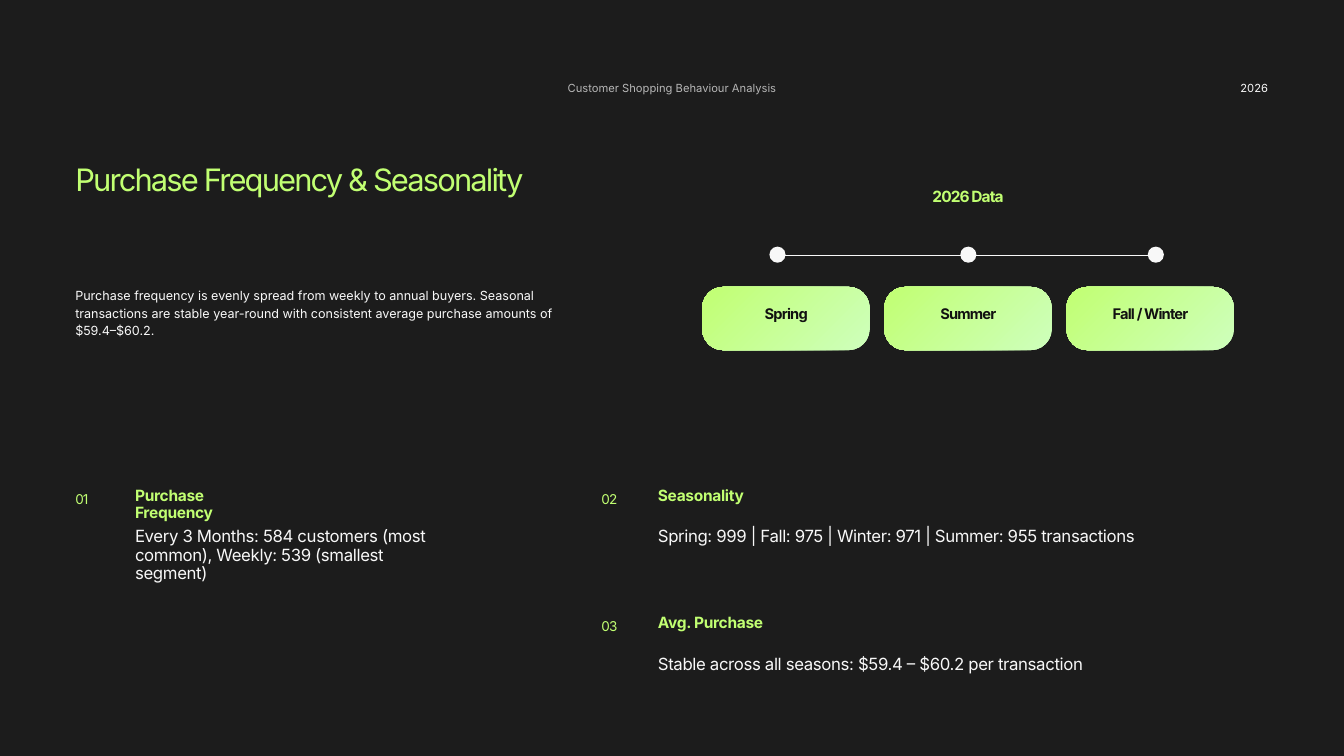
from lxml import etree
from pptx import Presentation
from pptx.dml.color import RGBColor
from pptx.enum.shapes import MSO_CONNECTOR, MSO_SHAPE
from pptx.enum.text import MSO_AUTO_SIZE, PP_ALIGN
from pptx.oxml import parse_xml
from pptx.oxml.ns import qn
from pptx.util import Inches, Pt

DARK = RGBColor(0x1C, 0x1C, 0x1C)
INK = RGBColor(0x11, 0x11, 0x11)
WHITE = RGBColor(0xF8, 0xF8, 0xF8)
LIME = RGBColor(0xC1, 0xFF, 0x72)
MINT = RGBColor(0xCE, 0xFF, 0xBC)
LEFT, MID, RIGHT = PP_ALIGN.LEFT, PP_ALIGN.CENTER, PP_ALIGN.RIGHT
GLOW = (
    '<a:path xmlns:a="http://schemas.openxmlformats.org/drawingml/2006/main" path="circle">'
    '<a:fillToRect r="100000" b="100000"/></a:path>'
)

deck = Presentation()
deck.slide_width = Inches(20)
deck.slide_height = Inches(11.25)
slide = deck.slides.add_slide(deck.slide_layouts[6])
slide.background.fill.solid()
slide.background.fill.fore_color.rgb = DARK
shapes = slide.shapes


def write(text, x, y, w, h, size, color, lead, bold=False, align=LEFT, track=0):
    box = shapes.add_textbox(Inches(x), Inches(y), Inches(w), Inches(h))
    frame = box.text_frame
    frame.margin_left = frame.margin_right = 0
    frame.margin_top = frame.margin_bottom = 0
    frame.word_wrap = True
    frame.auto_size = MSO_AUTO_SIZE.SHAPE_TO_FIT_TEXT
    para = frame.paragraphs[0]
    para.alignment = align
    para.line_spacing = Pt(lead)
    run = para.add_run()
    run.text = text
    font = para.font
    font.name = "Inter"
    font.size = Pt(size)
    font.bold = bold
    font.color.rgb = color
    if track:
        run._r.get_or_add_rPr().set("spc", str(round(track * 100)))
    return para


for i, name in enumerate(["Spring", "Summer", "Fall / Winter"]):
    x = 10.45 + i * 2.71
    card = shapes.add_shape(
        MSO_SHAPE.ROUNDED_RECTANGLE, Inches(x), Inches(4.27), Inches(2.49), Inches(0.94)
    )
    card.adjustments[0] = 0.33
    card.shadow.inherit = False
    card.line.fill.background()
    card.fill.gradient()
    for stop, color in zip(card.fill.gradient_stops, (LIME, MINT)):
        stop.color.rgb = color
    grad = card._element.spPr.find(qn("a:gradFill"))
    grad.remove(grad.find(qn("a:lin")))
    grad.append(parse_xml(GLOW))
    write(name, x + 0.19, 4.56, 2.12, 0.25, 15.7, INK, 17.3, True, MID, -0.9)

line = shapes.add_connector(
    MSO_CONNECTOR.STRAIGHT, Inches(11.55), Inches(3.8), Inches(17.27), Inches(3.8)
)
line.line.color.rgb = WHITE
line.line.width = Pt(1.5)
etree.SubElement(line._element.spPr, qn("a:effectLst"))

for x in (11.45, 14.29, 17.08):
    dot = shapes.add_shape(
        MSO_SHAPE.OVAL, Inches(x), Inches(3.67), Inches(0.24), Inches(0.24)
    )
    dot.shadow.inherit = False
    dot.fill.solid()
    dot.fill.fore_color.rgb = WHITE
    dot.line.fill.background()

head = write("Customer Shopping Behaviour Analysis", 7.39, 1.17, 5.22, 0.23, 12, WHITE, 16.8, align=MID)
for tint in head._p.iter(qn("a:srgbClr")):
    etree.SubElement(tint, qn("a:alpha")).set("val", "70000")
write("2026", 16.33, 1.17, 2.54, 0.23, 12, WHITE, 16.8, align=RIGHT)
write("Purchase Frequency & Seasonality", 1.12, 2.44, 7.82, 0.51, 33.1, LIME, 36.4, track=-2)
write("2026 Data", 12.75, 2.81, 3.31, 0.26, 16.6, LIME, 18.2, True, MID, -1)
write(
    "Purchase frequency is evenly spread from weekly to annual buyers. Seasonal "
    "transactions are stable year-round with consistent average purchase amounts of "
    "$59.4–$60.2.",
    1.12, 4.25, 7.51, 0.76, 13.5, WHITE, 18.9,
)

facts = [
    ("01", 1.12, 2.01, 7.25, 2.07, 0.51, "Purchase Frequency", 4.66, 0.82,
     "Every 3 Months: 584 customers (most common), Weekly: 539 (smallest segment)"),
    ("02", 8.95, 9.79, 7.25, 2.33, 0.26, "Seasonality", 8.13, 0.28,
     "Spring: 999 | Fall: 975 | Winter: 971 | Summer: 955 transactions"),
    ("03", 8.95, 9.79, 9.15, 2.65, 0.26, "Avg. Purchase", 8.53, 0.28,
     "Stable across all seasons: $59.4 – $60.2 per transaction"),
]
for num, left, x, y, wide, tall, title, w, h, body in facts:
    write(num, left, y + 0.07, 0.78, 0.22, 14.5, LIME, 15.9, track=-0.9)
    write(title, x, y, wide, tall, 16.6, LIME, 18.2, True, track=-0.3)
    write(body, x, y + 0.6, w, h, 18, WHITE, 19.8, track=-0.4)

deck.save("out.pptx")
